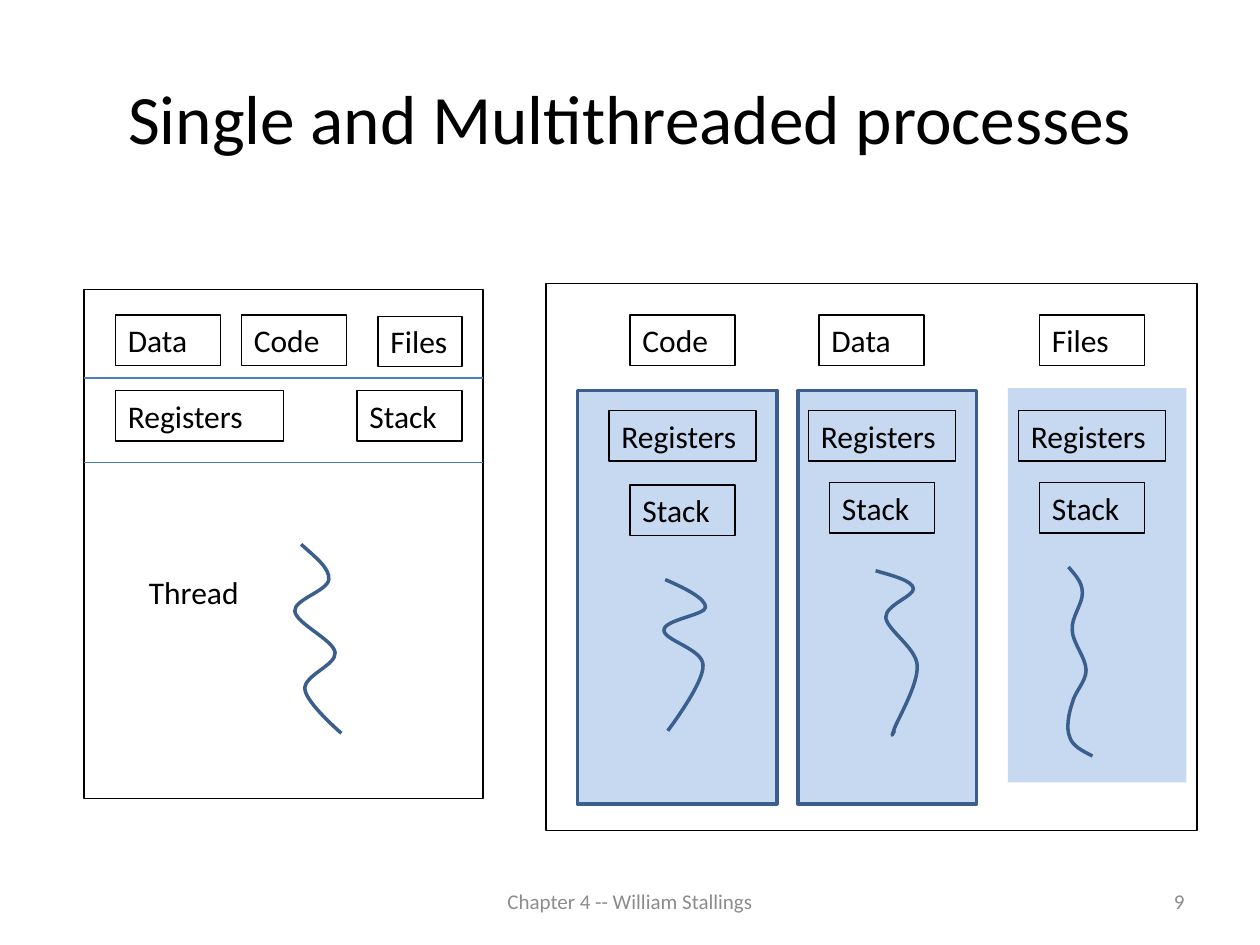
from functools import reduce

from lxml.etree import SubElement
from pptx import Presentation
from pptx.dml.color import RGBColor
from pptx.enum.shapes import MSO_CONNECTOR, MSO_SHAPE
from pptx.enum.text import MSO_ANCHOR, MSO_AUTO_SIZE, PP_ALIGN
from pptx.oxml.ns import qn
from pptx.util import Inches, Pt

THEME = {
    "font": "Calibri",
    "ink": RGBColor(0x00, 0x00, 0x00),
    "muted": RGBColor(0x8C, 0x8C, 0x8C),
    "lane": RGBColor(0xC6, 0xD9, 0xF1),
    "strand": RGBColor(0x3A, 0x5F, 0x8C),
    "divider": RGBColor(0x4B, 0x7E, 0xBC),
    "title_size": Pt(39.6),
    "label_size": Pt(18),
    "footer_size": Pt(12),
    "thin": Pt(0.75),
    "thick": Pt(2),
}
COLUMN = Inches(1) / 12
THIN_INK = {"line.color.rgb": THEME["ink"], "line.width": THEME["thin"]}
THICK_STRAND = {"line.color.rgb": THEME["strand"], "line.width": THEME["thick"]}
THIN_DIVIDER = {"line.color.rgb": THEME["divider"], "line.width": THEME["thin"]}
TITLE_FONT = {"name": THEME["font"], "size": THEME["title_size"], "color.rgb": THEME["ink"]}
LABEL_FONT = {**TITLE_FONT, "size": THEME["label_size"]}
FOOTER_FONT = {**TITLE_FONT, "size": THEME["footer_size"], "color.rgb": THEME["muted"]}


def apply_format(target, values):
    for name, value in values.items():
        *parents, last = name.split(".")
        setattr(reduce(getattr, parents, target), last, value)


def add_label(words, column, top, span, font=LABEL_FONT, align=PP_ALIGN.LEFT,
              anchor=MSO_ANCHOR.TOP, outline=THIN_INK):
    label = slide.shapes.add_textbox(
        round(column * COLUMN), Inches(top), round(span * COLUMN), Inches(0.4))
    apply_format(label, outline)
    apply_format(label.text_frame, {
        "word_wrap": True,
        "auto_size": MSO_AUTO_SIZE.SHAPE_TO_FIT_TEXT if font is LABEL_FONT else MSO_AUTO_SIZE.NONE,
        "vertical_anchor": anchor,
    })
    paragraph = label.text_frame.paragraphs[0]
    paragraph.alignment = align
    words_run = paragraph.add_run()
    words_run.text = words
    apply_format(words_run.font, font)


deck = Presentation()
apply_format(deck, {"slide_width": Inches(10), "slide_height": Inches(7.5)})
slide = deck.slides.add_slide(deck.slide_layouts[5])

heading = slide.shapes.title
apply_format(heading, {"left": Inches(0.5), "top": Inches(0.3),
                       "width": Inches(9), "height": Inches(1.25)})
heading.text_frame.text = "Single and Multithreaded processes"
heading.text_frame.vertical_anchor = MSO_ANCHOR.MIDDLE
heading.text_frame.paragraphs[0].alignment = PP_ALIGN.CENTER
apply_format(heading.text_frame.paragraphs[0].runs[0].font, TITLE_FONT)

panels = [
    (96, 3.08, 17, 3.13, True, None),
    (76, 3.1, 17, 3.28, True, THICK_STRAND),
    (55, 3.1, 19, 3.28, True, THICK_STRAND),
    (8, 2.3, 38, 4.04, False, THIN_INK),
    (52, 2.25, 62, 4.34, False, THIN_INK),
]
for column, top, span, height, filled, outline in panels:
    panel = slide.shapes.add_shape(
        MSO_SHAPE.RECTANGLE, round(column * COLUMN), Inches(top),
        round(span * COLUMN), Inches(height))
    panel.shadow.inherit = False
    if filled:
        panel.fill.solid()
        panel.fill.fore_color.rgb = THEME["lane"]
    else:
        panel.fill.background()
    if outline:
        apply_format(panel, outline)
    else:
        panel.line.fill.background()

for height in (3, 3.67):
    divider = slide.shapes.add_connector(
        MSO_CONNECTOR.STRAIGHT, round(8 * COLUMN), Inches(height),
        round(46 * COLUMN), Inches(height))
    apply_format(divider, THIN_DIVIDER)
    SubElement(divider._element.spPr, qn("a:effectLst"))

single_process = [
    ("Data", 11, 2.5, 10),
    ("Code", 23, 2.5, 10),
    ("Files", 36, 2.51, 8),
    ("Registers", 11, 3.1, 16),
    ("Stack", 34, 3.1, 10),
]
for words, column, top, span in single_process:
    add_label(words, column, top, span)
add_label("Thread", 13, 4.5, 11, outline={})

lanes = [
    ("Code", 60, 58, 60, 3.85),
    ("Data", 78, 77, 79, 3.83),
    ("Files", 99, 97, 99, 3.83),
]
for shared, shared_column, registers_column, stack_column, stack_top in lanes:
    add_label(shared, shared_column, 2.5, 10)
    add_label("Registers", registers_column, 3.26, 14)
    add_label("Stack", stack_column, stack_top, 10)

threads = [
    [(2.39, 4.32), (2.5, 4.42), (2.62, 4.51), (2.61, 4.6), (2.6, 4.69), (2.33, 4.76),
     (2.34, 4.85), (2.35, 4.95), (2.65, 5.08), (2.66, 5.18), (2.67, 5.28), (2.41, 5.36),
     (2.42, 5.47), (2.43, 5.58), (2.71, 5.82), (2.71, 5.82)],
    [(5.28, 4.6), (5.44, 4.67), (5.6, 4.75), (5.6, 4.82), (5.6, 4.88), (5.27, 4.92),
     (5.27, 5), (5.26, 5.08), (5.58, 5.15), (5.58, 5.28), (5.59, 5.42), (5.3, 5.8),
     (5.3, 5.8)],
    [(6.95, 4.53), (7.09, 4.57), (7.24, 4.61), (7.25, 4.67), (7.26, 4.73), (7.03, 4.8),
     (7.03, 4.9), (7.04, 5), (7.27, 5.14), (7.28, 5.28), (7.29, 5.43), (7.13, 5.7),
     (7.1, 5.78), (7.07, 5.87), (7.08, 5.83), (7.1, 5.8)],
    [(8.48, 4.5), (8.53, 4.56), (8.59, 4.62), (8.59, 4.7), (8.6, 4.78), (8.5, 4.9),
     (8.51, 5), (8.51, 5.1), (8.62, 5.22), (8.62, 5.32), (8.62, 5.41), (8.53, 5.49),
     (8.51, 5.58), (8.48, 5.67), (8.46, 5.78), (8.49, 5.85), (8.51, 5.92), (8.59, 5.96),
     (8.67, 6)],
]
for controls in threads:
    points = [(Inches(x), Inches(y)) for x, y in controls]
    outline = slide.shapes.build_freeform(*points[0])
    outline.add_line_segments(points[3::3], close=False)
    strand = outline.convert_to_shape()
    strand.shadow.inherit = False
    strand.fill.background()
    apply_format(strand, THICK_STRAND)
    segments = list(strand._element.iter(qn("a:lnTo")))
    for index, segment in enumerate(segments):
        segment.tag = qn("a:cubicBezTo")
        segment.clear()
        for x, y in points[3 * index + 1:3 * index + 4]:
            SubElement(segment, qn("a:pt"), x=str(x - strand.left), y=str(y - strand.top))

add_label("Chapter 4 -- William Stallings", 41, 6.95, 38, FOOTER_FONT,
          PP_ALIGN.CENTER, MSO_ANCHOR.MIDDLE, {})
add_label("9", 86, 6.95, 28, FOOTER_FONT, PP_ALIGN.RIGHT, MSO_ANCHOR.MIDDLE, {})

deck.save("out.pptx")
